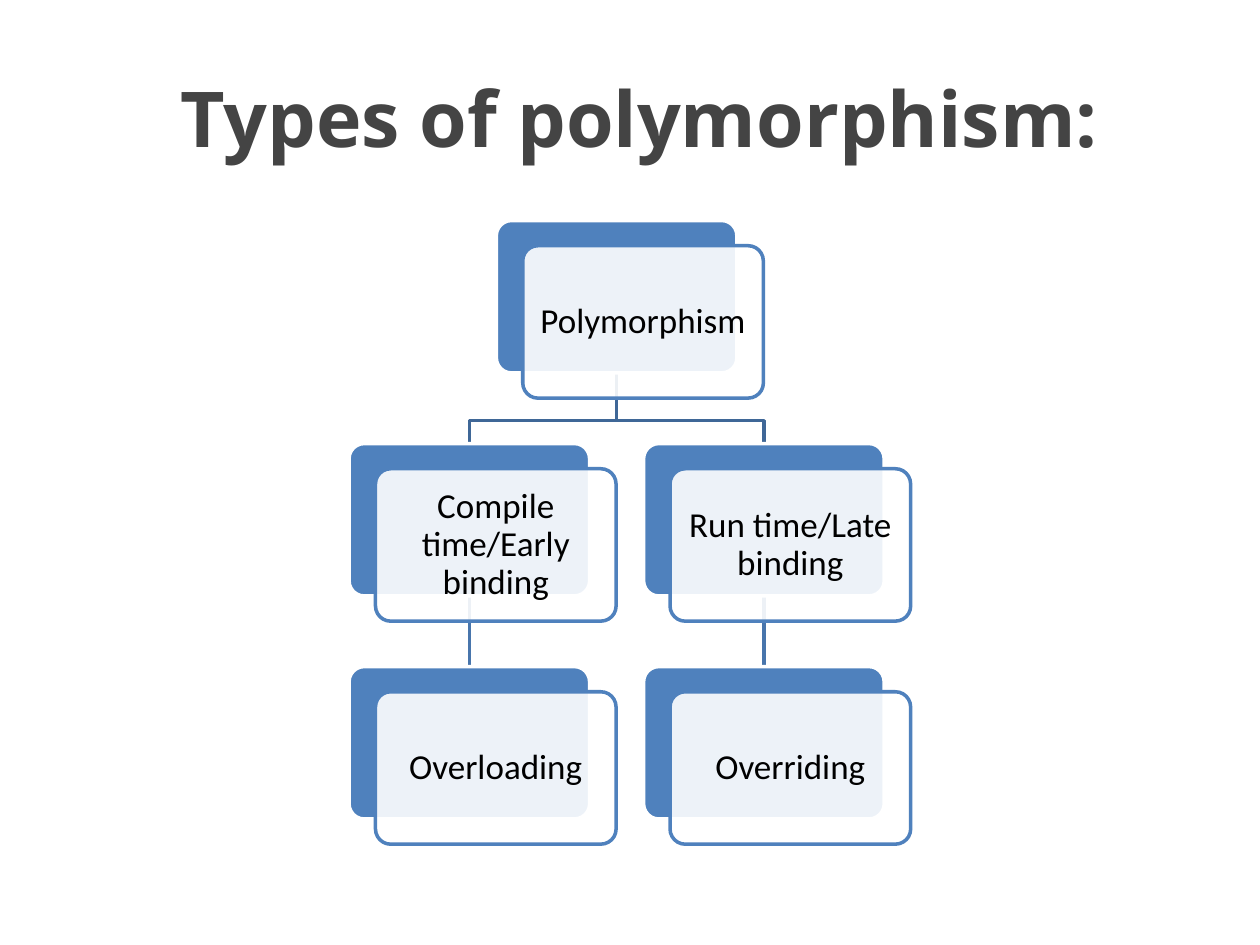
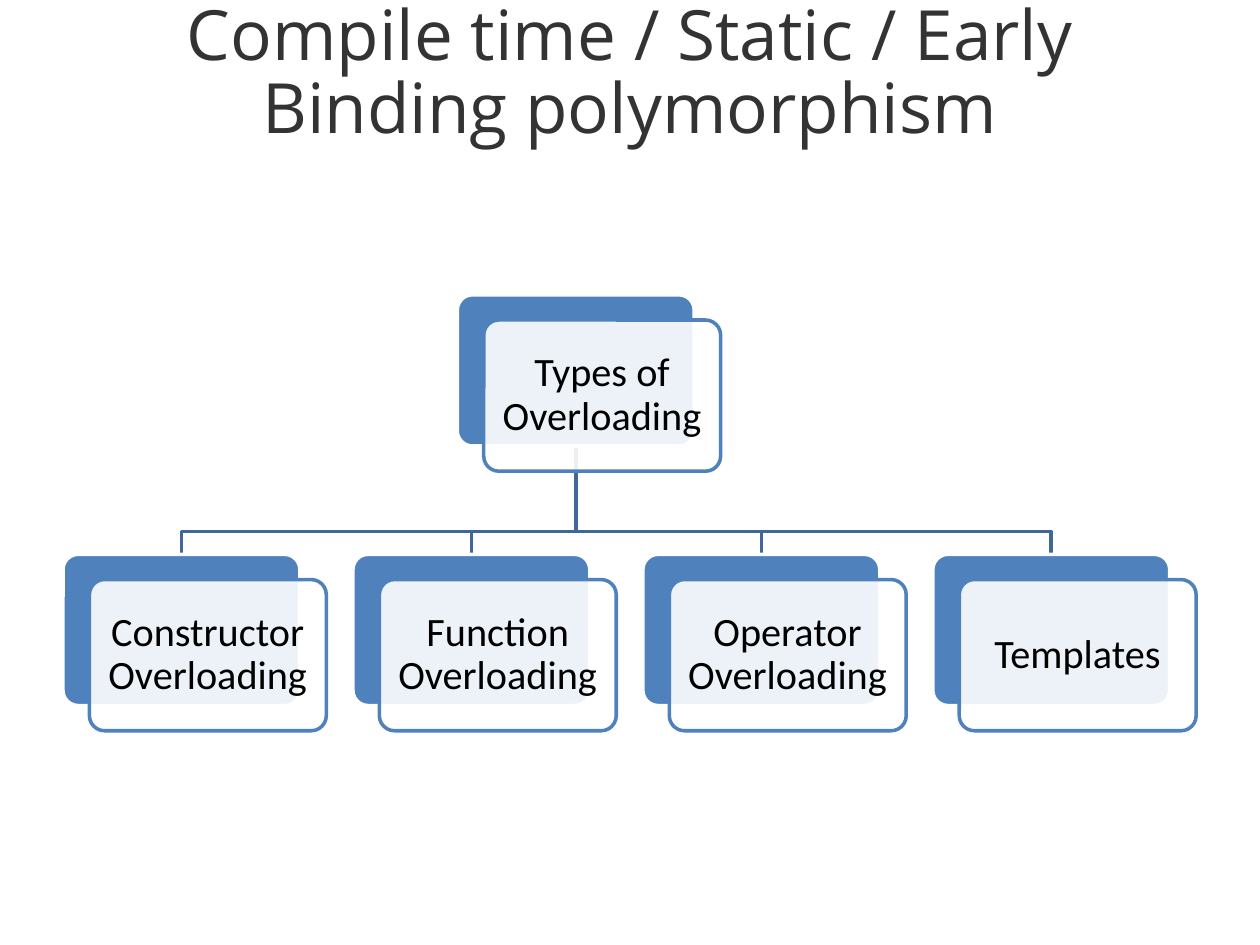
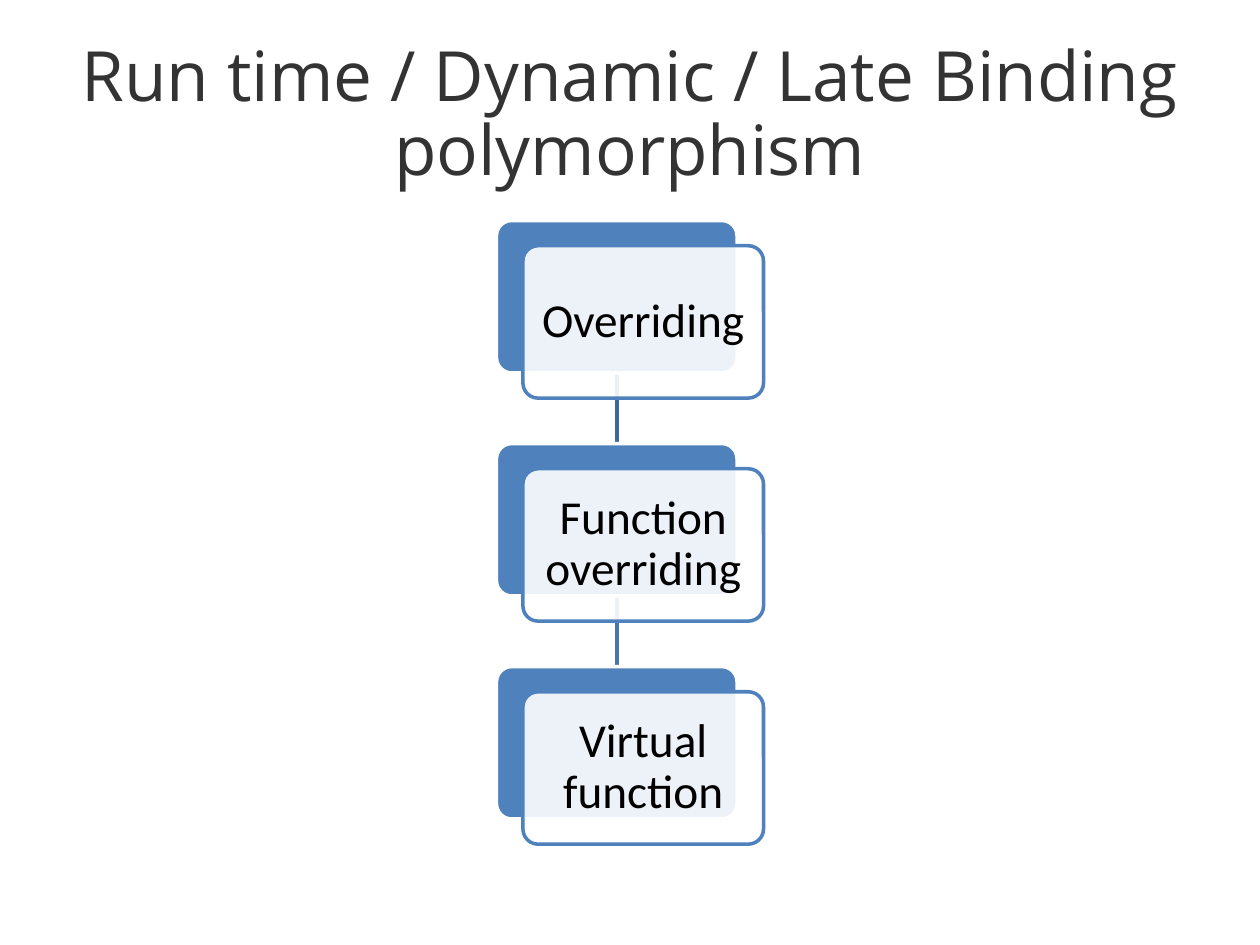
from pptx import Presentation
from pptx import util as u
from pptx.dml.color import RGBColor
from pptx.enum import shapes, text
from pptx.oxml.ns import qn
from lxml import etree

WIDE, HIGH = 10, 7.5
BLUE, WHITE, BLACK = "4F81BD", "FFFFFF", "000000"
LINKS = {1: "3F6797", 2: "4875AC"}  # by the row of the child
STEP_X, STEP_Y = 0.21, 0.2          # from a card's back to its front
BEND = 0.18                         # from a link's bend to the child


def rgb(code):
    return RGBColor.from_string(code)


def style(run, font, size, color, bold=False):
    run.font.name, run.font.size = font, u.Pt(size)
    run.font.bold, run.font.color.rgb = bold, rgb(color)


def edge(line, color):
    line.color.rgb, line.width = rgb(color), u.Pt(2)


def head(slide, label, size=39.6, color="333333", bold=False, gap=0.88, foot=0.05):
    """Fill the title; foot is the inset that lifts the text off the bottom."""
    title = slide.shapes.title
    title.left, title.top = u.Inches(0.05 * WIDE), u.Inches(0.04 * HIGH)
    title.width, title.height = u.Inches(0.9 * WIDE), u.Inches(1.25)
    frame = title.text_frame
    frame.text = label
    frame.word_wrap, frame.auto_size = True, text.MSO_AUTO_SIZE.NONE
    frame.vertical_anchor = text.MSO_ANCHOR.MIDDLE
    frame.margin_bottom = u.Inches(foot)
    para = frame.paragraphs[0]
    para.alignment, para.line_spacing = text.PP_ALIGN.CENTER, gap
    style(para.runs[0], "Open Sans", size, color, bold)


def plate(slide, x, y, w, h, fill, line):
    shape = slide.shapes.add_shape(shapes.MSO_SHAPE.ROUNDED_RECTANGLE,
                                   *map(u.Inches, (x, y, w, h)))
    shape.adjustments[0] = 0.1
    shape.shadow.inherit = False
    shape.fill.solid()
    shape.fill.fore_color.rgb = rgb(fill)
    edge(shape.line, line)
    return shape


def card(slide, label, x, y, w, h, size):
    plate(slide, x, y, w, h, BLUE, WHITE)
    front = plate(slide, x + STEP_X, y + STEP_Y, w, h, WHITE, BLUE)
    tint = front.fill._xPr.find(qn("a:solidFill"))[0]
    etree.SubElement(tint, qn("a:alpha")).set("val", "90000")
    frame = front.text_frame
    frame.text = label
    frame.word_wrap, frame.vertical_anchor = True, text.MSO_ANCHOR.MIDDLE
    frame.margin_left = frame.margin_right = u.Inches(size / 250)
    frame.margin_top = frame.margin_bottom = u.Inches(size / 250)
    para = frame.paragraphs[0]
    para.alignment, para.line_spacing = text.PP_ALIGN.CENTER, 0.9
    style(para.runs[0], "Calibri", size, BLACK)


def link(slide, start, end, color):
    """Join two points straight down, or with a bend above the lower one."""
    (x1, y1), (x2, y2) = start, end
    if x1 == x2:
        line = slide.shapes.add_connector(shapes.MSO_CONNECTOR.STRAIGHT,
                                          *map(u.Inches, (x1, y1, x2, y2)))
        etree.SubElement(line._element.spPr, qn("a:effectLst"))
    else:
        bend = y2 - BEND
        path = slide.shapes.build_freeform(u.Inches(x1), u.Inches(y1))
        path.add_line_segments([(u.Inches(x), u.Inches(y)) for x, y in
                                ((x1, bend), (x2, bend), (x2, y2))], close=False)
        line = path.convert_to_shape()
        line.fill.background()
        line.shadow.inherit = False
    edge(line.line, color)


def tree(slide, left, top, w, h, gap, size, nodes):
    """Draw nodes of (label, column, row, parent index) on a grid of cards."""
    spots = [(left + col * w * 1.224, top + row * (h + gap))
             for _, col, row, _ in nodes]
    for (x, y), (_, _, row, up) in zip(spots, nodes):
        if up is not None:
            px, py = spots[up]
            link(slide, (px + w / 2, py + h), (x + w / 2, y), LINKS[row])
    for (x, y), node in zip(spots, nodes):
        card(slide, node[0], x, y, w, h, size)


def main():
    deck = Presentation()
    deck.slide_width, deck.slide_height = u.Inches(WIDE), u.Inches(HIGH)
    kinds, early, late = [deck.slides.add_slide(deck.slide_layouts[5])
                          for _ in range(3)]

    head(kinds, " Types of polymorphism:", 44, "444444", True, 1)
    tree(kinds, 2.77, 1.75, 1.91, 1.21, 0.56, 20, [
        ("Polymorphism", 0.5, 0, None),
        ("Compile time/Early binding", 0, 1, 0),
        ("Overloading", 0, 2, 1),
        ("Run time/Late binding", 1, 1, 0),
        ("Overriding", 1, 2, 3)])

    head(early, "Compile time / Static / Early Binding polymorphism", foot=0.71)
    tree(early, 0.5, 2.34, 1.88, 1.2, 0.86, 23, [
        ("Types of Overloading", 1.36, 0, None),
        ("Constructor Overloading", 0, 1, 0),
        ("Function Overloading", 1, 1, 0),
        ("Operator Overloading", 2, 1, 0),
        ("Templates", 3, 1, 0)])

    head(late, "Run time / Dynamic / Late Binding polymorphism")
    tree(late, 3.94, 1.75, 1.91, 1.21, 0.56, 27, [
        ("Overriding", 0, 0, None),
        ("Function overriding", 0, 1, 0),
        ("Virtual function", 0, 2, 1)])

    deck.save("out.pptx")


if __name__ == "__main__":
    main()
